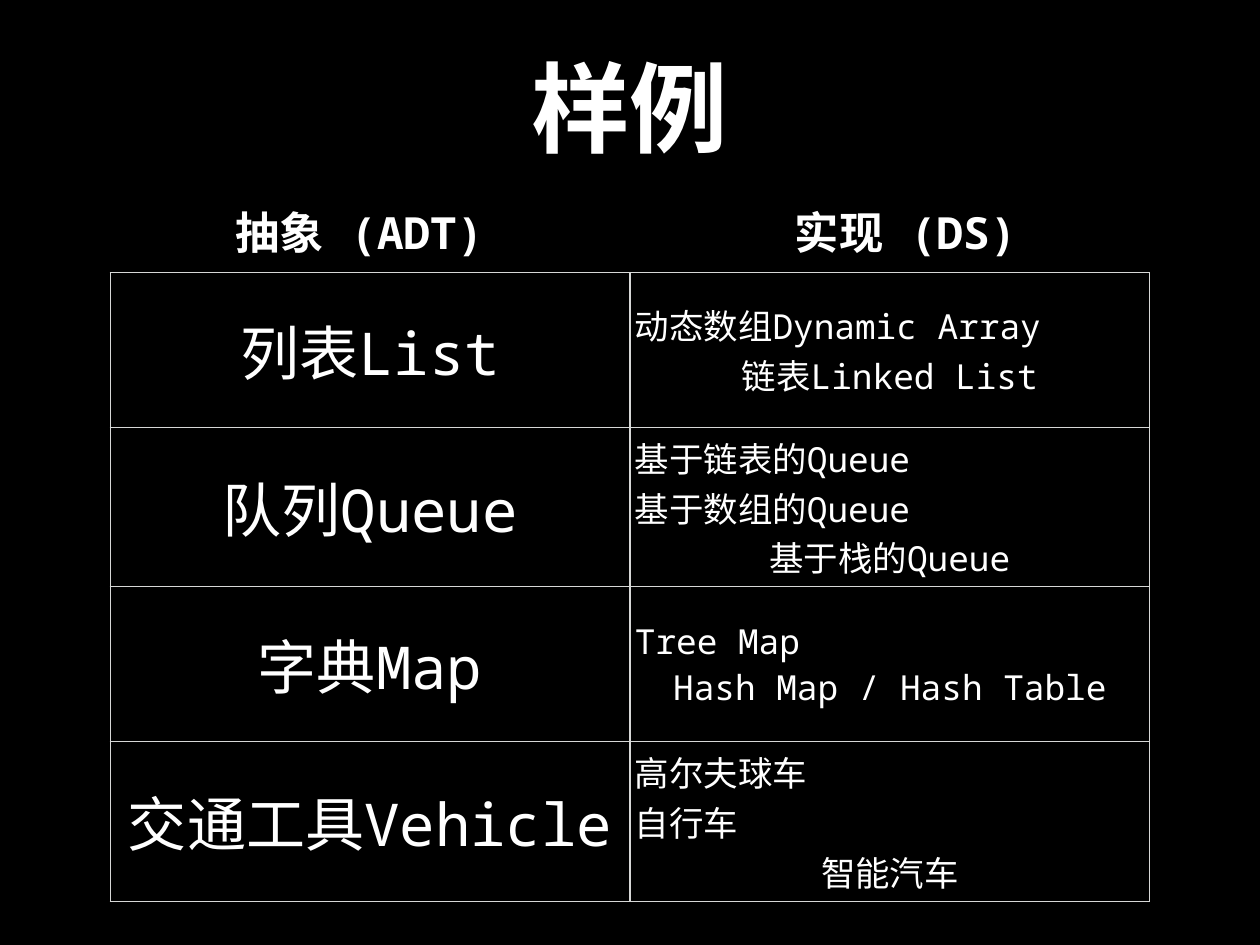
from lxml.etree import SubElement
from pptx import Presentation
from pptx.dml.color import RGBColor
from pptx.enum.text import MSO_ANCHOR, PP_ALIGN
from pptx.oxml.ns import qn
from pptx.util import Pt

PX = 10160  # EMU per px, 90 px to the inch
FONT = "Noto Sans Mono"
BLACK, WHITE, GRID = "000000", "FFFFFF", "D6D7D6"
INSET = 5
COL_W = 528
ROW_H, TALL_ROW_H = 157, 162
HANZI_LEADING = 1.45  # line height of Chinese text, in font sizes

ROWS = [
    ("列表List", ["动态数组Dynamic Array", "链表Linked List"]),
    ("队列Queue", ["基于链表的Queue", "基于数组的Queue", "基于栈的Queue"]),
    ("字典Map", ["Tree Map", "Hash Map / Hash Table"]),
    ("交通工具Vehicle", ["高尔夫球车", "自行车", "智能汽车"]),
]


def px(n):
    return n * PX


def color(value):
    return RGBColor.from_string(value)


def set_insets(box):
    box.margin_left = box.margin_right = px(INSET)
    box.margin_top = box.margin_bottom = px(INSET)


def write(tf, lines, size, bold=False):
    """Fill a text frame; the last line is centred, those before it are left-aligned."""
    tf.text = "\n".join(lines)
    for p in tf.paragraphs:
        p.alignment = PP_ALIGN.LEFT
        for r in p.runs:
            r.font.size = Pt(size)
            r.font.bold = bold
            r.font.color.rgb = color(WHITE)
            r.font.name = FONT
            SubElement(r.font._element, qn("a:ea"), typeface=FONT)
    tf.paragraphs[-1].alignment = PP_ALIGN.CENTER


def add_heading(slide, text, x, y, w, h, size):
    tf = slide.shapes.add_textbox(px(x), px(y), px(w), px(h)).text_frame
    tf.word_wrap = True
    tf.vertical_anchor = MSO_ANCHOR.MIDDLE
    set_insets(tf)
    write(tf, [text], size, bold=True)


def add_borders(cell):
    """Draw all four sides; borders must precede the fill in the cell properties."""
    tcPr = cell._tc.get_or_add_tcPr()
    for i, side in enumerate(("lnL", "lnR", "lnT", "lnB")):
        ln = SubElement(tcPr, qn(f"a:{side}"), w=str(Pt(1)))
        fill = SubElement(ln, qn("a:solidFill"))
        SubElement(fill, qn("a:srgbClr"), val=GRID)
        tcPr.insert(i, ln)


def fill_cell(cell, lines, size):
    cell.fill.background()
    cell.vertical_anchor = MSO_ANCHOR.MIDDLE
    set_insets(cell)
    write(cell.text_frame, lines, size)
    for p in cell.text_frame.paragraphs:
        if not p.text.isascii():
            p.line_spacing = Pt(size * HANZI_LEADING)
    add_borders(cell)


def add_examples(slide, x, y):
    heights = [TALL_ROW_H if len(lines) > 2 else ROW_H for _, lines in ROWS]
    frame = slide.shapes.add_table(len(ROWS), 2, px(x), px(y),
                                   px(2 * COL_W), px(sum(heights)))
    table = frame.table
    table.first_row = table.horz_banding = False
    for column in table.columns:
        column.width = px(COL_W)
    for i, (abstraction, implementations) in enumerate(ROWS):
        table.rows[i].height = px(heights[i])
        fill_cell(table.cell(i, 0), [abstraction], 48)
        fill_cell(table.cell(i, 1), implementations, 28)


def main():
    prs = Presentation()
    prs.slide_width, prs.slide_height = px(1280), px(960)
    slide = prs.slides.add_slide(prs.slide_layouts[6])
    slide.background.fill.solid()
    slide.background.fill.fore_color.rgb = color(BLACK)

    add_heading(slide, "样例", 94, 21, 1092, 174, 80)
    add_examples(slide, 112, 277)
    add_heading(slide, "抽象 (ADT)", 215, 203, 300, 65, 36)
    add_heading(slide, "实现 (DS)", 770, 203, 300, 65, 36)

    prs.save("out.pptx")


if __name__ == "__main__":
    main()
